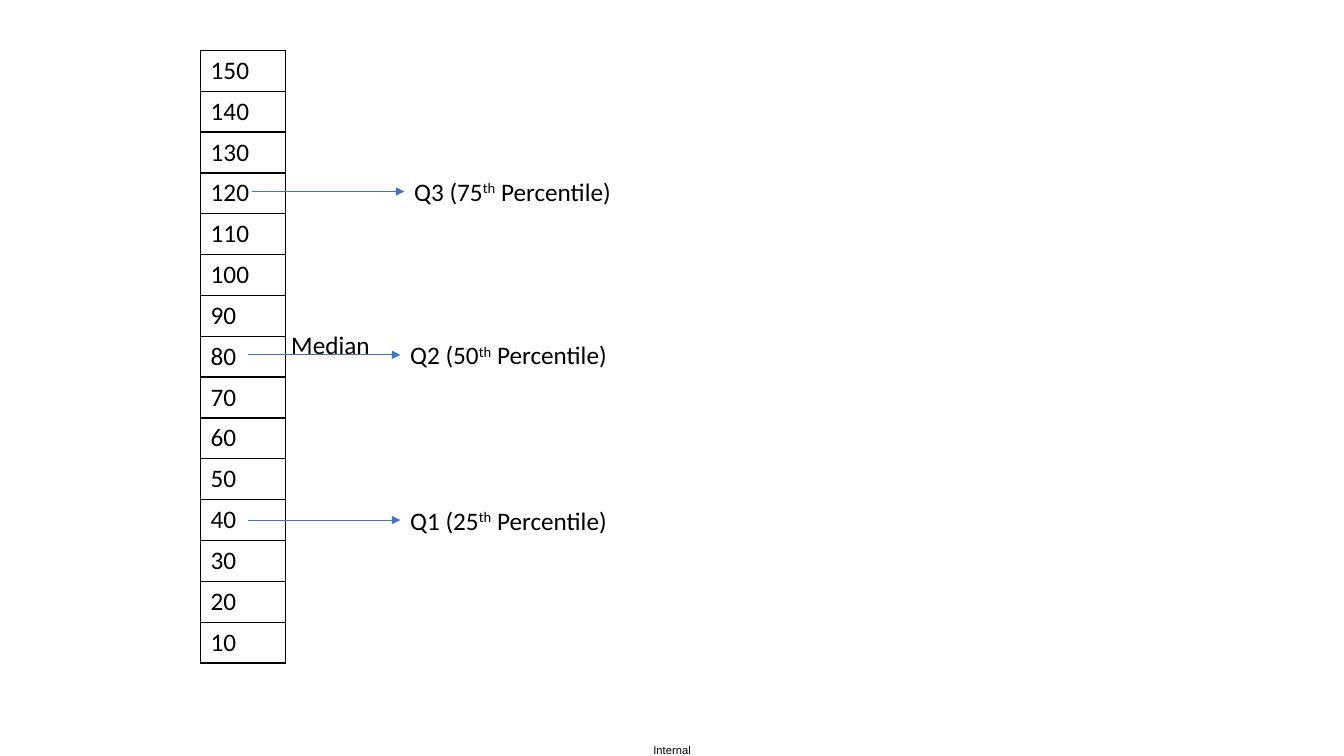
from lxml.etree import SubElement
from pptx import Presentation
from pptx.dml.color import RGBColor
from pptx.enum.shapes import MSO_CONNECTOR
from pptx.oxml.ns import qn
from pptx.util import Inches, Pt


def rgb(value):
    """Turn a hex string into a colour."""
    return RGBColor.from_string(value)


class SlideBuilder:
    """Hold the style and the current slide, and add elements to it."""

    font, size, ink, accent = "Calibri", 18, "000000", "4472C4"

    def __init__(self, s):
        """Keep the slide to draw on."""
        self.s = s

    def style(self, p, font=None, size=None):
        """Set the font of a paragraph."""
        p.font.name = font or self.font
        p.font.size = Pt(size or self.size)
        p.font.color.rgb = rgb(self.ink)

    def text(self, x, y, w, h, parts, font=None, size=None, inset=True):
        """Add a text box; every second part is superscript."""
        tf = self.s.shapes.add_textbox(
            Inches(x), Inches(y), Inches(w), Inches(h)).text_frame
        tf.word_wrap = inset
        if not inset:
            tf.margin_left = tf.margin_right = 0
            tf.margin_top = tf.margin_bottom = 0
        p = tf.paragraphs[0]
        self.style(p, font, size)
        for i, part in enumerate(parts):
            r = p.add_run()
            r.text = part
            if i % 2:
                r._r.get_or_add_rPr().set("baseline", "30000")

    def border(self, cell):
        """Draw a one-point line on all sides of a cell."""
        tcPr = cell._tc.get_or_add_tcPr()
        for side in ("a:lnL", "a:lnR", "a:lnT", "a:lnB"):
            ln = SubElement(tcPr, qn(side), w=str(Pt(1)))
            fill = SubElement(ln, qn("a:solidFill"))
            SubElement(fill, qn("a:srgbClr"), val=self.ink)

    def column(self, x, y, w, h, values):
        """Add a one-column table of values."""
        table = self.s.shapes.add_table(
            len(values), 1, Inches(x), Inches(y), Inches(w), Inches(h)).table
        table.first_row = table.horz_banding = False
        for i, value in enumerate(values):
            cell = table.cell(i, 0)
            cell.text = str(value)
            self.style(cell.text_frame.paragraphs[0])
            self.border(cell)
            cell.fill.background()

    def arrow(self, x, y, length):
        """Add a thin arrow pointing right."""
        c = self.s.shapes.add_connector(
            MSO_CONNECTOR.STRAIGHT, Inches(x), Inches(y),
            Inches(x + length), Inches(y))
        c.line.color.rgb = rgb(self.accent)
        c.line.width = Pt(0.5)
        SubElement(c.line._get_or_add_ln(), qn("a:tailEnd"), type="triangle")
        SubElement(c._element.spPr, qn("a:effectLst"))

    def quartile(self, x, y, name, percent):
        """Add an arrow and the quartile label it points to."""
        self.arrow(x, y, 1.51)
        self.text(x + 1.51, y - 0.2, 2.7, 0.4,
                  [f"{name} ({percent}", "th", " Percentile)"])


def main():
    """Build the quartile slide."""
    prs = Presentation()
    prs.slide_width, prs.slide_height = Inches(13.33), Inches(7.5)
    b = SlideBuilder(prs.slides.add_slide(prs.slide_layouts[6]))
    b.text(6.48, 7.37, 0.4, 0.13, ["Internal"], "Arial", 8, inset=False)
    b.column(1.99, 0.5, 0.84, 6.08, range(150, 0, -10))
    b.text(2.79, 3.22, 1.22, 0.4, ["Median"])
    for x, y, name, percent in ((2.46, 3.52, "Q2", 50),
                                (2.46, 5.16, "Q1", 25),
                                (2.5, 1.9, "Q3", 75)):
        b.quartile(x, y, name, percent)
    prs.save("out.pptx")


if __name__ == "__main__":
    main()
